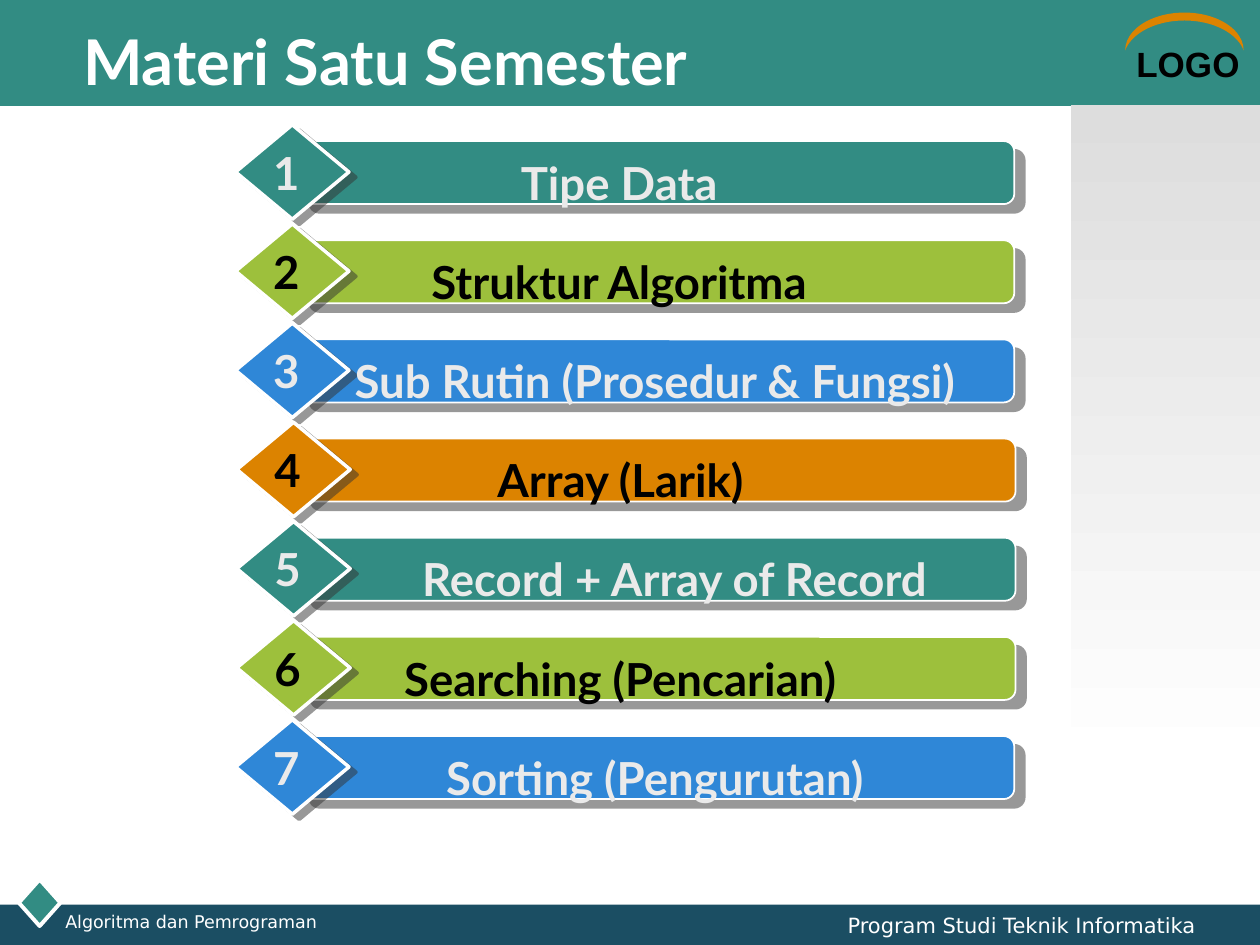
from lxml.etree import SubElement
from pptx import Presentation
from pptx.dml.color import RGBColor as RGB
from pptx.enum.shapes import MSO_SHAPE as Kind
from pptx.enum.text import MSO_ANCHOR as Anchor, PP_ALIGN as Align
from pptx.oxml.ns import qn
from pptx.util import Inches, Pt

TITLE = "Materi Satu Semester"
COURSE = "Algoritma dan Pemrograman"
DEPT = "Program Studi Teknik Informatika"
TEAL, LIME, BLUE, ORANGE = "328C83", "9DC03C", "2F87D7", "DC8300"
NAVY, WHITE, PALE, BLACK = "1B4E63", "FFFFFF", "EAEAEA", "000000"

# label, fill, ink, group left, label offset, label width
TOPICS = [
    ("Tipe Data", TEAL, PALE, 1.87, 0.8, 4.49),
    ("Struktur Algoritma", LIME, BLACK, 1.87, 0.8, 4.49),
    ("Sub Rutin (Prosedur & Fungsi)", BLUE, PALE, 1.87, 0.8, 5.06),
    ("Array (Larik)", ORANGE, BLACK, 1.88, 0.8, 4.49),
    ("Record + Array of Record", TEAL, PALE, 1.88, 0.87, 5.21),
    ("Searching (Pencarian)", LIME, BLACK, 1.88, 0.8, 4.49),
    ("Sorting (Pengurutan)", BLUE, PALE, 1.87, 0.8, 5.06),
]
TOP, PITCH = 0.99, 0.787


def color(code):
    return RGB.from_string(code)


def add_shape(shapes, kind, box, fill, line=0):
    shape = shapes.add_shape(kind, *map(Inches, box))
    shape.shadow.inherit = False
    shape.fill.solid()
    shape.fill.fore_color.rgb = color(fill)
    if line:
        shape.line.color.rgb = color(WHITE)
        shape.line.width = Pt(line)
    else:
        shape.line.fill.background()
    return shape


def cast(shape, dist, angle):
    effects = shape.element.spPr.find(qn("a:effectLst"))
    shadow = SubElement(effects, qn("a:outerShdw"), dist=str(Pt(dist)),
                        dir=str(angle * 60000), algn="ctr", rotWithShape="0")
    tint = SubElement(shadow, qn("a:srgbClr"), val="333333")
    SubElement(tint, qn("a:alpha"), val="50000")


def style(frame, text, size, face, ink, bold=False, align=Align.LEFT):
    frame.text = text
    para = frame.paragraphs[0]
    para.alignment = align
    font = para.font
    font.size, font.name, font.bold = Pt(size), face, bold
    font.color.rgb = color(ink)


def add_text(shapes, box, *look, wrap=True):
    frame = shapes.add_textbox(*map(Inches, box)).text_frame
    frame.word_wrap = wrap
    style(frame, *look)


def add_frame(shapes):
    add_shape(shapes, Kind.RECTANGLE, (0, 0, 10, 0.84), TEAL)
    add_shape(shapes, Kind.RECTANGLE, (0, 7.18, 10, 0.32), NAVY)
    add_shape(shapes, Kind.DIAMOND, (0.15, 6.98, 0.33, 0.37), TEAL, 2.25)
    add_text(shapes, (8.92, 0.29, 1.08, 0.43), "LOGO", 20, "Arial", BLACK, True)
    arc = add_shape(shapes, Kind.MOON, (9.25, -0.22, 0.3, 0.94), ORANGE)
    arc.rotation = 90
    arc.adjustments[0] = 0.21
    panel = add_shape(shapes, Kind.RECTANGLE, (8.5, 0.83, 1.5, 5.25), WHITE)
    panel.fill.gradient()
    panel.fill.gradient_angle = 270
    for stop, code in zip(panel.fill.gradient_stops, ("DDDDDD", WHITE)):
        stop.color.rgb = color(code)
    add_text(shapes, (0.42, 7.18, 2.67, 0.23), COURSE, 10, "DejaVu Sans", WHITE)
    add_text(shapes, (5.63, 7.19, 3.96, 0.24), DEPT, 12, "DejaVu Sans", WHITE,
             False, Align.RIGHT)


def add_title(title):
    title.element.getparent().append(title.element)
    title.left, title.top, title.width, title.height = map(
        Inches, (0.56, 0.17, 7.95, 0.62))
    title.text_frame.vertical_anchor = Anchor.MIDDLE
    style(title.text_frame, TITLE, 36, "Lato", WHITE, True)


def add_topic(shapes, num, label, fill, ink, left, shift, width):
    top = TOP + (num - 1) * PITCH
    look = 26, "Lato", ink, True, Align.CENTER
    bar = add_shape(shapes, Kind.ROUNDED_RECTANGLE,
                    (left + 0.5, top + 0.13, 5.68, 0.5), fill, 1)
    cast(bar, 7.8, 40)
    gem = add_shape(shapes, Kind.DIAMOND, (left, top, 0.9, 0.75), fill, 2)
    cast(gem, 5, 37)
    add_text(shapes, (left + shift, top + 0.19, width, 0.54), label, *look)
    add_text(shapes, (left + 0.2, top + 0.11, 0.4, 0.54), str(num), *look,
             wrap=False)


def main():
    """Build the semester topics slide."""
    deck = Presentation()
    deck.slide_width, deck.slide_height = Inches(10), Inches(7.5)
    shapes = deck.slides.add_slide(deck.slide_layouts[5]).shapes
    add_frame(shapes)
    add_title(shapes.title)
    for num, topic in enumerate(TOPICS, 1):
        add_topic(shapes.add_group_shape().shapes, num, *topic)
    deck.save("out.pptx")


if __name__ == "__main__":
    main()
